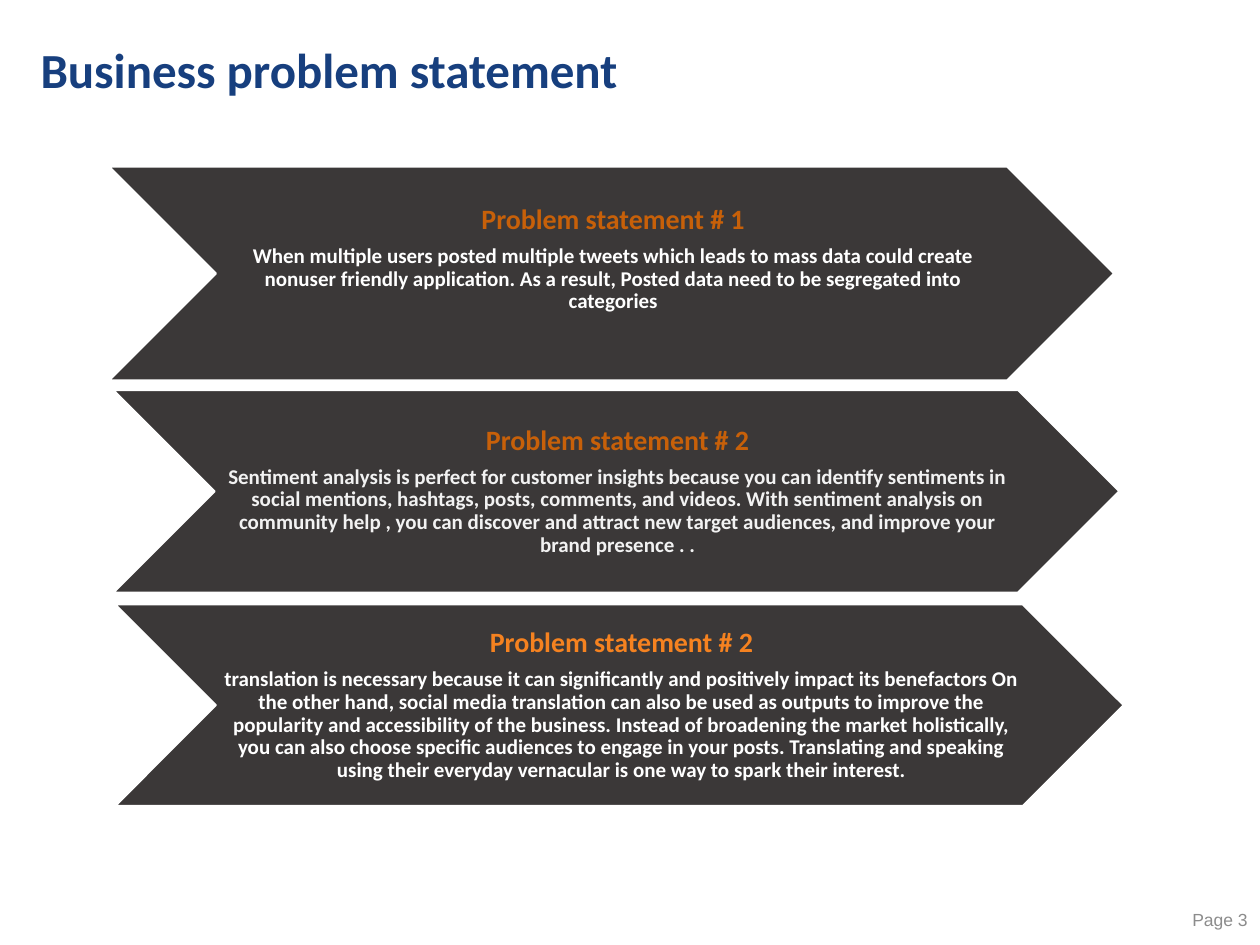
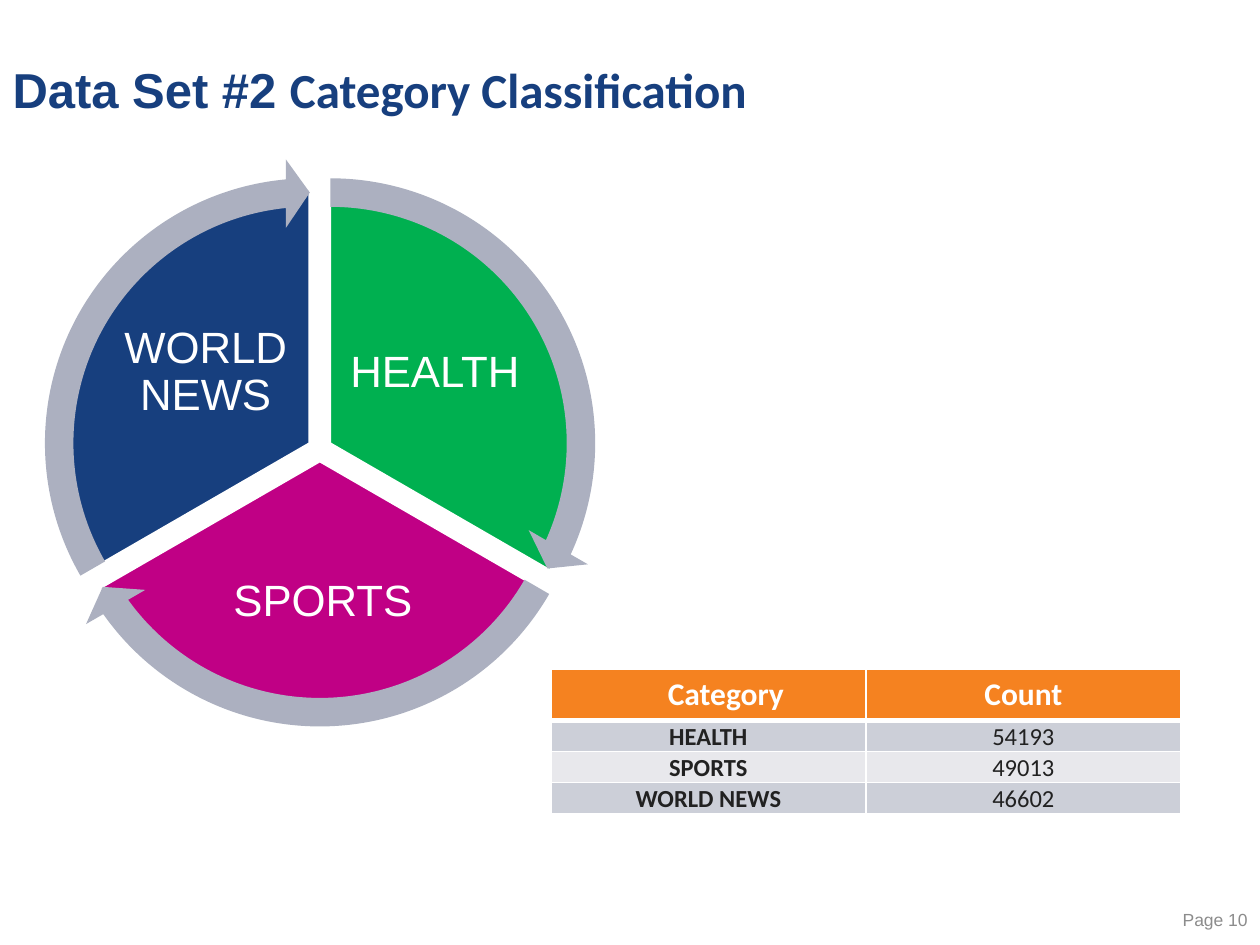
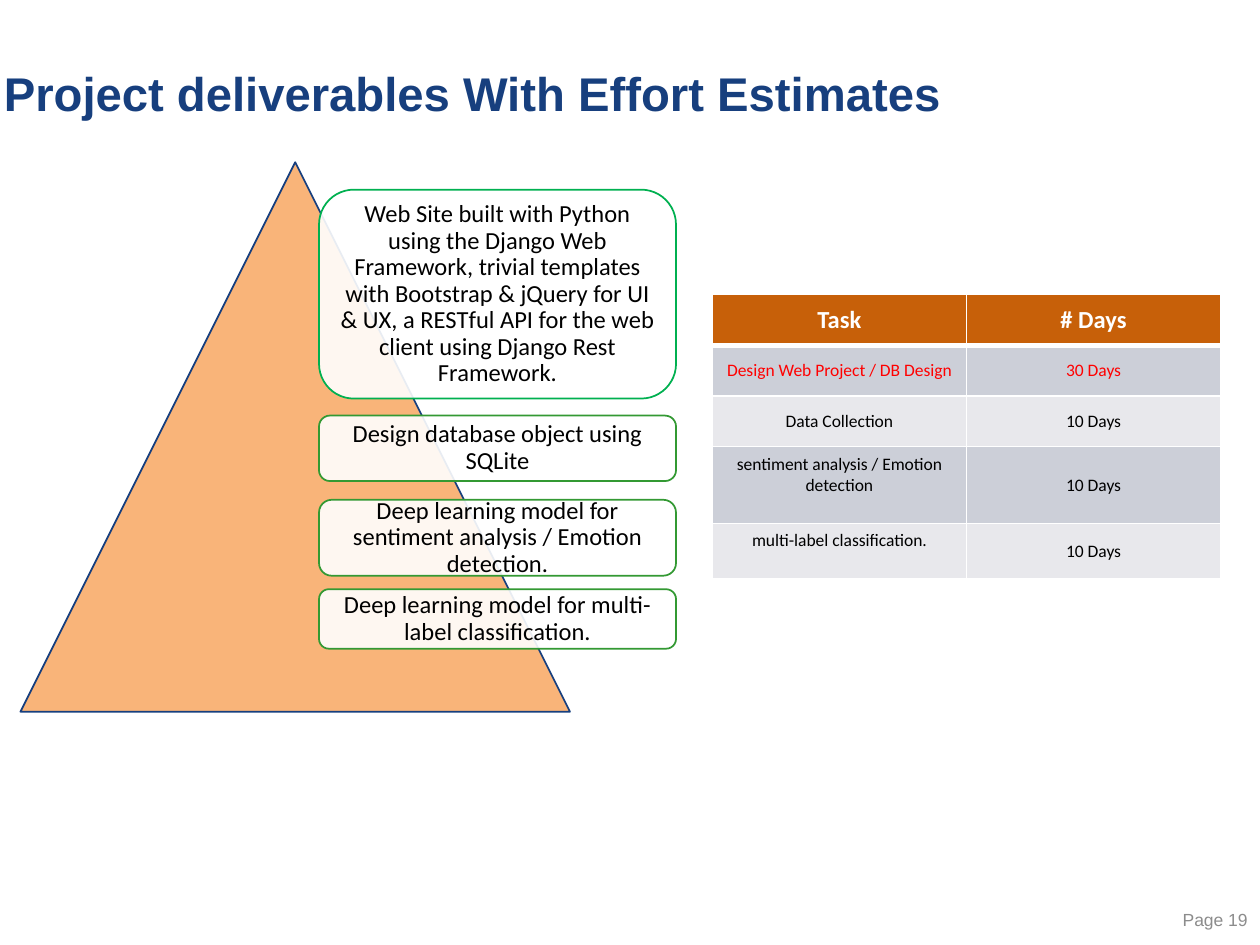
import pptx
import pptx.util
import pptx.dml.color
import pptx.enum.shapes
import pptx.enum.text
import pptx.oxml.ns
import lxml.etree

Pt = pptx.util.Pt
SHAPE = pptx.enum.shapes.MSO_SHAPE
ALIGN = pptx.enum.text.PP_ALIGN
MIDDLE = pptx.enum.text.MSO_ANCHOR.MIDDLE

NAVY, ORANGE, RUST = "173F7E", "F58220", "C76009"
WHITE, BLACK, CHARCOAL, GRAY = "FFFFFF", "000000", "3B3838", "8C8C8C"
GREEN, LEAF, MAGENTA, SILVER = "00B050", "339933", "C00085", "ACB0C0"
BANDS = ("CCCFD8", "E8E8EC")
HEADING, BODY = "Arial", "Calibri"


def rgb(value):
    return pptx.dml.color.RGBColor.from_string(value)


def add_xml(parent, tag, index=None, **attrs):
    el = lxml.etree.Element(pptx.oxml.ns.qn(tag), attrs)
    parent.insert(len(parent) if index is None else index, el)
    return el


def run(text, size, color, font=BODY, bold=False):
    return text, size, color, font, bold


class Deck:
    def __init__(self):
        self.prs = pptx.Presentation()
        self.prs.slide_width, self.prs.slide_height = Pt(720), Pt(540)
        self.slide = None

    def new_slide(self, number, box, title_runs):
        self.slide = self.prs.slides.add_slide(self.prs.slide_layouts[5])
        sp = self.slide.shapes.title
        sp.left, sp.top, sp.width, sp.height = map(Pt, box)
        self.fill_frame(sp.text_frame, [title_runs], ALIGN.LEFT, 0.9)
        self.text((630, 511, 90, 29), [[run(f"Page {number}", 10, GRAY, HEADING)]],
                  ALIGN.RIGHT, spacing=1)

    def fill_paragraph(self, p, runs, align):
        p.alignment = align
        for text, size, color, font, bold in runs:
            r = p.add_run()
            r.text = text
            r.font.size, r.font.name, r.font.bold = Pt(size), font, bold
            r.font.color.rgb = rgb(color)

    def fill_frame(self, tf, paragraphs, align, spacing, insets=(7.2, 3.6, 7.2, 3.6)):
        tf.word_wrap = True
        tf.auto_size = pptx.enum.text.MSO_AUTO_SIZE.NONE
        tf.vertical_anchor = MIDDLE
        tf.margin_left, tf.margin_top, tf.margin_right, tf.margin_bottom = map(Pt, insets)
        for i, runs in enumerate(paragraphs):
            p = tf.add_paragraph() if i else tf.paragraphs[0]
            self.fill_paragraph(p, runs, align)
            p.line_spacing = spacing
            if i < len(paragraphs) - 1:
                p.space_after = Pt(0.35 * runs[0][1])

    def text(self, box, paragraphs, align=ALIGN.CENTER, spacing=0.9, **kw):
        sp = self.slide.shapes.add_textbox(*map(Pt, box))
        self.fill_frame(sp.text_frame, paragraphs, align, spacing, **kw)

    def shape(self, kind, box, fill, line=None, adjust=(), alpha=None):
        sp = self.slide.shapes.add_shape(kind, *map(Pt, box))
        sp.shadow.inherit = False
        sp.fill.solid()
        sp.fill.fore_color.rgb = rgb(fill)
        if alpha:
            color = sp._element.spPr.find(".//" + pptx.oxml.ns.qn("a:srgbClr"))
            add_xml(color, "a:alpha", val=str(alpha * 1000))
        if line:
            sp.line.color.rgb = rgb(line)
            sp.line.width = Pt(1)
        else:
            sp.line.fill.background()
        for i, value in enumerate(adjust):
            sp.adjustments[i] = value

    def borders(self, cell, top, bottom):
        tcPr = cell._tc.get_or_add_tcPr()
        sides = (("L", 1), ("R", 1), ("T", top), ("B", bottom))
        for i, (side, width) in enumerate(sides):
            ln = add_xml(tcPr, f"a:ln{side}", i, w=str(Pt(width)))
            add_xml(add_xml(ln, "a:solidFill"), "a:srgbClr", val=WHITE)

    def table(self, box, heights, header_fill, rows, margins):
        cols = len(rows[0])
        tb = self.slide.shapes.add_table(len(rows), cols, *map(Pt, box)).table
        for col in tb.columns:
            col.width = Pt(box[2] / cols)
        for i, row in enumerate(rows):
            tb.rows[i].height = Pt(heights[i])
            for j, content in enumerate(row):
                cell = tb.cell(i, j)
                cell.fill.solid()
                cell.fill.fore_color.rgb = rgb(BANDS[(i - 1) % 2] if i else header_fill)
                self.borders(cell, 3 if i == 1 else 1, 1 if i else 3)
                cell.vertical_anchor = MIDDLE
                (cell.margin_left, cell.margin_top, cell.margin_right,
                 cell.margin_bottom) = map(Pt, margins.get((i, j), margins["body" if i else "head"]))
                self.fill_paragraph(cell.text_frame.paragraphs[0], [content], ALIGN.CENTER)


def problem_slide(d):
    d.new_slide(3, (16, 18.5, 520, 45.5), [run("Business problem statement", 28, NAVY, BODY, True)])
    problems = [
        ((62.5, 95.3, 574, 122), (124, 451.5), 17, "Problem statement # 1", RUST, WHITE,
         "When multiple users posted multiple tweets which leads to mass data could create "
         "nonuser friendly application. As a result, Posted data need to be segregated into categories"),
        ((65, 223, 574.5, 115.5), (123, 458.5), 0.7, "Problem statement # 2", RUST, "F2F2F2",
         "Sentiment analysis is perfect for customer insights because you can identify sentiments "
         "in social mentions, hashtags, posts, comments, and videos. With sentiment analysis on "
         "community help , you can discover and attract new target audiences, and improve your "
         "brand presence . ."),
        ((66, 345.5, 576, 115), (124, 461), 0.7, "Problem statement # 2", ORANGE, WHITE,
         "translation is necessary because it can significantly and positively impact its "
         "benefactors On the other hand, social media translation can also be used as outputs to "
         "improve the popularity and accessibility of the business. Instead of broadening the "
         "market holistically, you can also choose specific audiences to engage in your posts. "
         "Translating and speaking using their everyday vernacular is one way to spark their interest."),
    ]
    for box, (left, width), bottom, head, head_color, body_color, body in problems:
        d.shape(SHAPE.CHEVRON, box, CHARCOAL, WHITE)
        d.text((left, box[1], width, box[3]),
               [[run(head, 16, head_color, bold=True)], [run(body, 12, body_color, bold=True)]],
               insets=(1.4, 0.7, 0, bottom))


def category_slide(d):
    d.new_slide(10, (0, 31.5, 520, 43), [run("Data Set #2 ", 28, NAVY, HEADING, True),
                                         run("Category Classification", 28, NAVY, BODY, True)])
    pie, ring, turn, third, head = 289.5, 325.5, 216, 72, 3.28
    sectors = [
        ("HEALTH", GREEN, (44, 108.5), (26, 90.5), (196.5, 170, 104, 86.5)),
        ("SPORTS", MAGENTA, (38, 119), (20, 101), (107, 306.5, 155, 75.5)),
        ("WORLD NEWS", NAVY, (32, 108.5), (14.3, 90.5), (65.5, 170, 104, 86.5)),
    ]
    angles = [((162 + third * i) % turn, (18 + third * i) % turn) for i in range(3)]
    for (name, color, corner, _, label), adjust in zip(sectors, angles):
        d.shape(SHAPE.PIE, (*corner, pie, pie), color, WHITE, adjust)
        d.text(label, [[run(name, 25, WHITE, HEADING)]], insets=(2.2,) * 4)
    for (_, _, _, corner, _), (start, end) in zip(sectors, angles):
        d.shape(SHAPE.CIRCULAR_ARROW, (*corner, ring, ring), SILVER,
                adjust=(0.05, head, end - head, start, 0.06))

    counts = [("HEALTH", "54193"), ("SPORTS", "49013"), ("WORLD NEWS", "46602")]
    rows = [[run(t, 18, WHITE, bold=True) for t in ("Category", "Count")]]
    rows += [[run(name, 14, "212121", bold=True), run(count, 14, "212121")] for name, count in counts]
    d.table((314.8, 382.5, 360, 81.5), [29] + [17.5] * 3, ORANGE, rows,
            {"head": (7.2, 3.6, 7.2, 3.6), (0, 0): (27.2, 3.6, 7.2, 3.6),
             "body": (0.7, 0.7, 0.7, 0)})


def deliverables_slide(d):
    d.new_slide(19, (-5, 28, 603.5, 53.5),
                [run("Project deliverables With Effort Estimates", 27, NAVY, HEADING, True)])
    d.shape(SHAPE.ISOSCELES_TRIANGLE, (11.7, 92.7, 314, 314), "F9B479", NAVY)
    deliverables = [
        (108.4, 119.4, 5.8, GREEN,
         "Web Site built with Python using the Django Web Framework, trivial templates with "
         "Bootstrap & jQuery for UI & UX, a RESTful API for the web client using Django Rest Framework."),
        (237.5, 37.4, 1.8, LEAF, "Design database object using SQLite"),
        (285.6, 43.4, 2.1, LEAF, "Deep learning model for sentiment analysis / Emotion detection."),
        (336.7, 34, 1.6, LEAF, "Deep learning model for multi-label classification."),
    ]
    left, width = 182.3, 204
    for top, height, pad, line, text in deliverables:
        d.shape(SHAPE.ROUNDED_RECTANGLE, (left, top, width, height), WHITE, line, alpha=90)
        d.text((left + pad, top + pad, width - 2 * pad, height - 2 * pad),
               [[run(text, 14, BLACK)]], insets=(4.2,) * 4)

    tasks = [("Design Web Project / DB Design", "30 Days", "FF0000"),
             ("Data Collection", "10 Days", BLACK),
             ("sentiment analysis / Emotion detection", "10 Days", BLACK),
             ("multi-label classification.", "10 Days", BLACK)]
    rows = [[run(t, 14, WHITE, bold=True) for t in ("Task", "# Days")]]
    rows += [[run(task, 10, color), run(days, 10, color)] for task, days, color in tasks]
    usual, raised = (7.2, 3.6, 7.2, 3.6), (7.2, 3.6, 7.2, 15.6)
    d.table((407, 168.3, 290.6, 162), [29, 29, 29, 44, 31], RUST, rows,
            {"head": usual, "body": usual, (3, 0): raised, (4, 0): raised})


def main():
    d = Deck()
    problem_slide(d)
    category_slide(d)
    deliverables_slide(d)
    d.prs.save("out.pptx")


if __name__ == "__main__":
    main()
